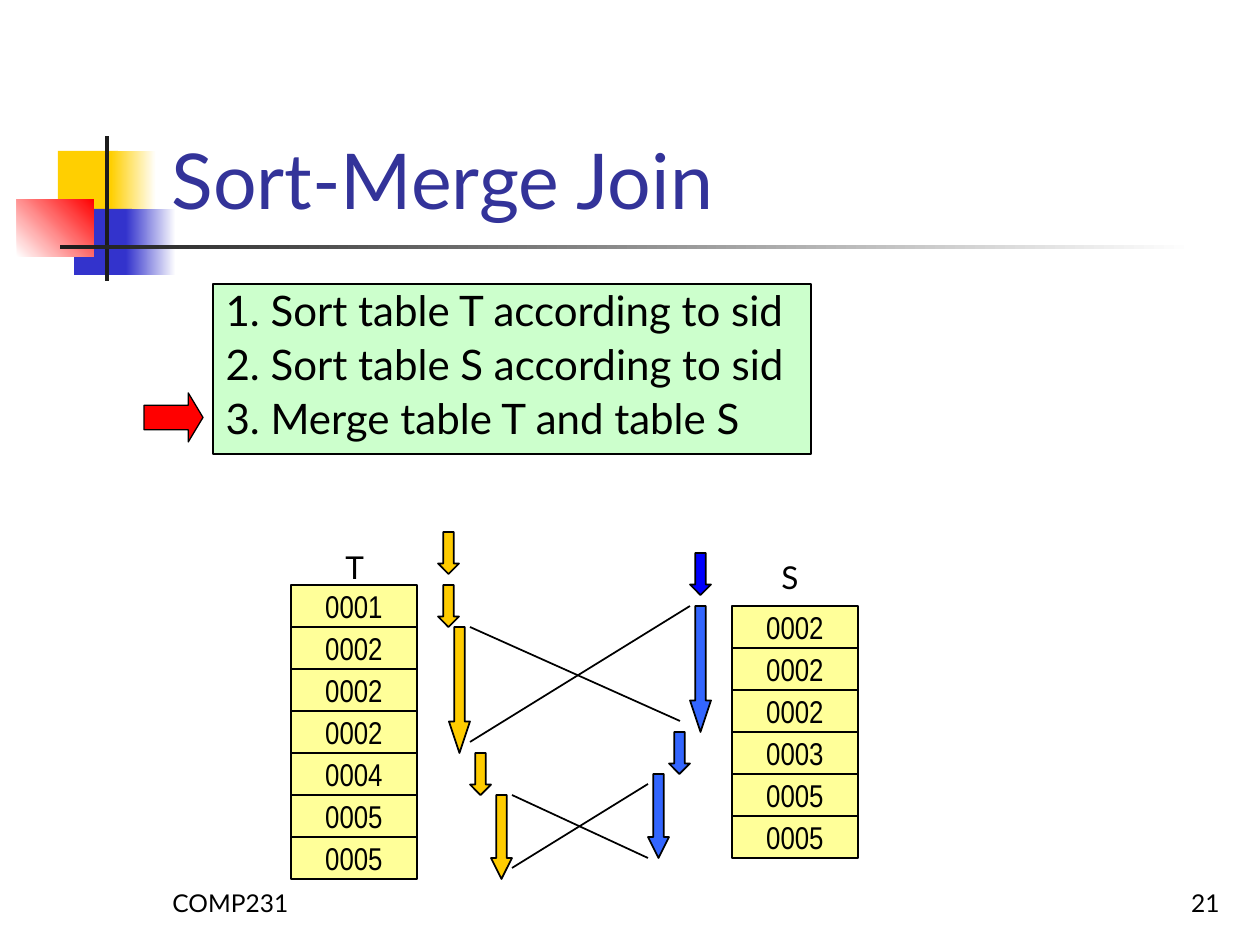
import dataclasses

import pptx
import pptx.dml.color
import pptx.enum.shapes
import pptx.enum.text
import pptx.oxml
import pptx.oxml.ns
import pptx.util

SHAPE = pptx.enum.shapes.MSO_SHAPE
ALIGN = pptx.enum.text.PP_ALIGN
ANCHOR = pptx.enum.text.MSO_ANCHOR
EMU_PER_PX = 914400 / 126


@dataclasses.dataclass(frozen=True)
class Theme:
    black: str = "000000"
    white: str = "FFFFFF"
    ink: str = "1C1C1C"
    gold: str = "FFCF01"
    indigo: str = "3333CC"
    red: str = "FF0000"
    title: str = "333399"
    steps: str = "CCFFCC"
    record: str = "FFFF99"
    t_cursor: str = "FFCC00"
    s_cursor: str = "3366FF"
    s_start: str = "0000FF"
    font: str = "Lato"
    record_font: str = "Arial Narrow"
    title_size: int = 44
    step_size: int = 24
    label_size: int = 18
    footer_size: int = 14


def px(value):
    return pptx.util.Emu(round(value * EMU_PER_PX))


def rgb(color):
    return pptx.dml.color.RGBColor.from_string(color)


class SlideBuilder:
    def __init__(self, page, theme):
        self.page = page
        self.theme = theme

    def place(self, shape, left, top, width, height):
        shape.left, shape.top, shape.width, shape.height = map(px, (left, top, width, height))

    def outline(self, shape, weight):
        shape.line.color.rgb = rgb(self.theme.black)
        shape.line.width = pptx.util.Pt(weight)

    def fill_text(self, shape, text, size, color=None, font=None, align=ALIGN.LEFT, anchor=ANCHOR.TOP, wrap=True):
        frame = shape.text_frame
        frame.text = text
        frame.auto_size = pptx.enum.text.MSO_AUTO_SIZE.NONE
        frame.word_wrap = wrap
        frame.vertical_anchor = anchor
        for para in frame.paragraphs:
            para.alignment = align
            for span in para.runs:
                span.font.name = font or self.theme.font
                span.font.size = pptx.util.Pt(size)
                span.font.color.rgb = rgb(color or self.theme.black)

    def block(self, kind, left, top, width, height, fill, weight=None):
        shape = self.page.shapes.add_shape(kind, *map(px, (left, top, width, height)))
        shape.shadow.inherit = False
        shape.fill.solid()
        shape.fill.fore_color.rgb = rgb(fill)
        if weight:
            self.outline(shape, weight)
        else:
            shape.line.fill.background()
        return shape

    def fade(self, left, top, width, height, start, end, angle=0):
        shape = self.block(SHAPE.RECTANGLE, left, top, width, height, start)
        shape.fill.gradient()
        shape.fill.gradient_angle = angle
        for stop, color in zip(shape.fill.gradient_stops, (start, end)):
            stop.color.rgb = rgb(color)

    def title(self, text, left, top, width, height):
        title = self.page.shapes.title
        self.place(title, left, top, width, height)
        self.fill_text(title, text, self.theme.title_size, self.theme.title, anchor=ANCHOR.BOTTOM)
        title.element.getparent().append(title.element)

    def steps(self, lines, left, top, width, height):
        body = self.page.placeholders[1]
        self.place(body, left, top, width, height)
        body.fill.solid()
        body.fill.fore_color.rgb = rgb(self.theme.steps)
        self.outline(body, 0.75)
        self.fill_text(body, "\n".join(lines), self.theme.step_size)
        for index, para in enumerate(body.text_frame.paragraphs):
            properties = para._p.get_or_add_pPr()
            properties.set("marL", "0")
            properties.set("indent", "0")
            properties.append(pptx.oxml.parse_xml(f"<a:buNone {pptx.oxml.ns.nsdecls('a')}/>"))
            para.line_spacing = 0.9
            para.space_before = pptx.util.Pt(4.8 if index else 0)

    def label(self, text, left, top, width, height, size, **style):
        box = self.page.shapes.add_textbox(*map(px, (left, top, width, height)))
        self.fill_text(box, text, size, **style)

    def records(self, values, left, top, width=126, height=42):
        for row, value in enumerate(values):
            cell = self.block(SHAPE.RECTANGLE, left, top + row * height, width, height, self.theme.record, 1)
            self.fill_text(cell, value, self.theme.label_size, font=self.theme.record_font,
                           align=ALIGN.CENTER, anchor=ANCHOR.MIDDLE, wrap=False)

    def cursor(self, left, top, height, fill, width=21):
        arrow = self.block(SHAPE.DOWN_ARROW, left, top, width, height, fill, 1)
        arrow.adjustments[1] = height / 4 / width

    def step_pointer(self, left, top, width, height):
        arrow = self.block(SHAPE.RIGHT_ARROW, left, top, width, height, self.theme.red, 0.75)
        arrow.adjustments[1] = 0.3

    def line(self, *ends):
        line = self.page.shapes.add_connector(pptx.enum.shapes.MSO_CONNECTOR.STRAIGHT, *map(px, ends))
        self.outline(line, 1)
        line.element.spPr.append(pptx.oxml.parse_xml(f"<a:effectLst {pptx.oxml.ns.nsdecls('a')}/>"))


def main():
    deck = pptx.Presentation()
    deck.slide_width, deck.slide_height = px(1260), px(945)
    theme = Theme()
    page = deck.slides.add_slide(deck.slide_layouts[1])
    builder = SlideBuilder(page, theme)

    builder.block(SHAPE.RECTANGLE, 58, 151, 60, 66, theme.gold)
    builder.fade(111, 151, 45, 66, theme.gold, theme.white)
    builder.block(SHAPE.RECTANGLE, 74, 209, 58, 66, theme.indigo)
    builder.fade(126, 209, 50, 66, theme.indigo, theme.white)
    builder.fade(17, 199, 77, 58, theme.white, theme.red, 45)
    builder.block(SHAPE.RECTANGLE, 105, 136, 4, 145, theme.ink)
    builder.fade(60, 245, 1134, 4, theme.ink, theme.white)

    builder.title("Sort-Merge Join", 159, 29, 1074, 202)
    builder.steps(["1. Sort table T according to sid",
                   "2. Sort table S according to sid",
                   "3. Merge table T and table S"], 213, 284, 598, 170)
    builder.step_pointer(144, 393, 59, 49)

    builder.label("T", 333, 542, 44, 50, theme.label_size, wrap=False)
    builder.records(["0001", "0002", "0002", "0002", "0004", "0005", "0005"], 291, 585)
    builder.label("S", 769, 552, 43, 50, theme.label_size, wrap=False)
    builder.records(["0002", "0002", "0002", "0003", "0005", "0005"], 732, 606)

    for left, top, height in [(438, 532, 42), (438, 585, 42), (449, 627, 126), (470, 753, 42), (491, 795, 84)]:
        builder.cursor(left, top, height, theme.t_cursor)
    builder.cursor(690, 553, 42, theme.s_start)
    for left, top, height in [(690, 606, 126), (669, 732, 42), (648, 774, 84)]:
        builder.cursor(left, top, height, theme.s_cursor)

    for ends in [(470, 627, 680, 721), (470, 742, 690, 606), (512, 795, 648, 858), (512, 868, 648, 784)]:
        builder.line(*ends)

    builder.label("COMP231", 160, 861, 262, 63, theme.footer_size, anchor=ANCHOR.BOTTOM)
    builder.label("21", 970, 861, 262, 63, theme.footer_size, align=ALIGN.RIGHT, anchor=ANCHOR.BOTTOM)

    deck.save("out.pptx")


if __name__ == "__main__":
    main()
